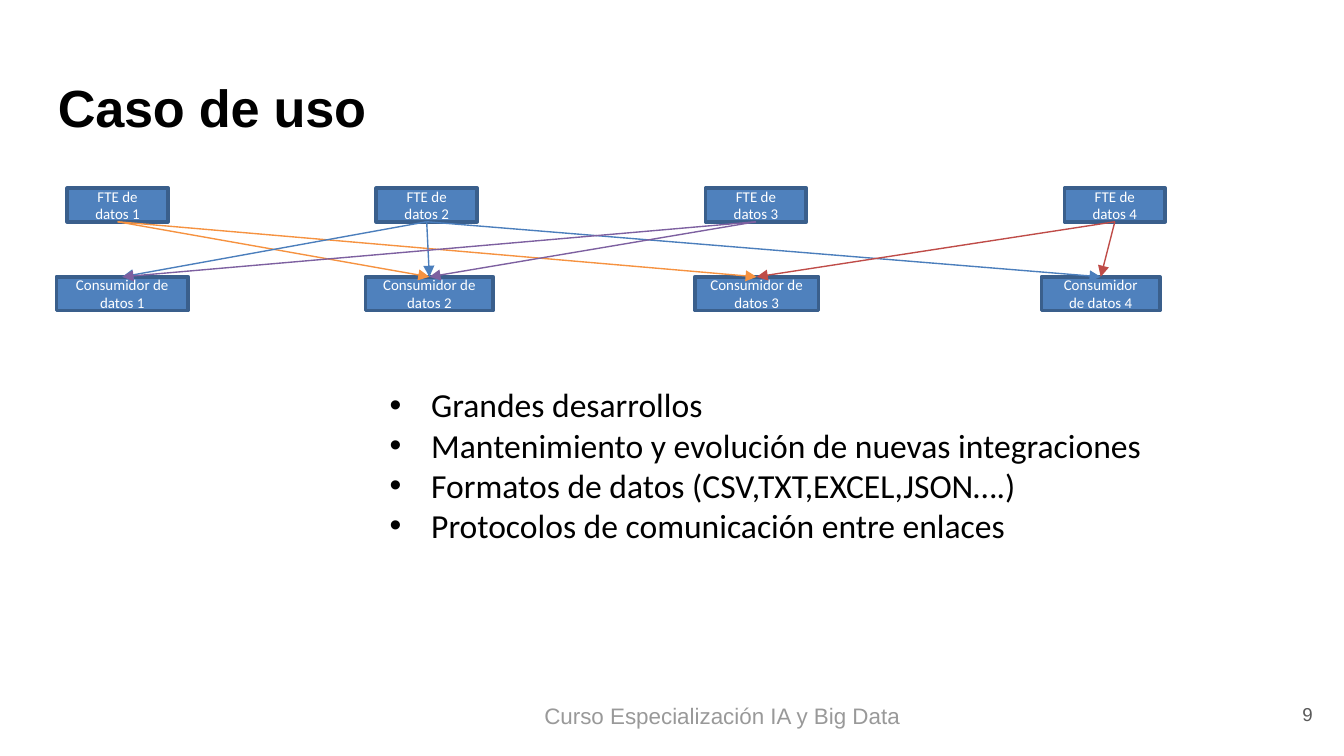
"""Build the use case slide with data sources linked to their consumers."""
from pptx import Presentation
from pptx.dml.color import RGBColor
from pptx.enum.shapes import MSO_CONNECTOR, MSO_SHAPE
from pptx.enum.text import MSO_ANCHOR, PP_ALIGN
from pptx.oxml.ns import qn
from pptx.util import Inches, Pt
from lxml.etree import SubElement


def color(code):
    return RGBColor.from_string(code)


def write(shape, text, size=18, font="Calibri", ink="000000", bold=False,
          align=PP_ALIGN.LEFT, anchor=MSO_ANCHOR.TOP, pad=(0.1, 0.05, 0.05),
          left=0, hang=0, before=0, pitch=None, track=0, bullet=None):
    frame = shape.text_frame
    frame.word_wrap = True
    frame.vertical_anchor = anchor
    frame.margin_left = frame.margin_right = Inches(pad[0])
    frame.margin_top, frame.margin_bottom = Inches(pad[1]), Inches(pad[2])
    for i, line in enumerate(text.split("\n")):
        para = frame.add_paragraph() if i else frame.paragraphs[0]
        para.alignment = align
        para.space_before = Pt(before)
        if pitch:
            para.line_spacing = Pt(pitch)
        props = para._p.get_or_add_pPr()
        props.set("marL", str(Inches(left)))
        props.set("indent", str(Inches(hang)))
        if bullet:
            SubElement(props, qn("a:buFont"), typeface="Arial")
            SubElement(props, qn("a:buChar"), char=bullet)
        run = para.add_run()
        run.text = line
        run.font.name = font
        run.font.size = Pt(size)
        run.font.bold = bold
        run.font.color.rgb = color(ink)
        if track:
            run._r.get_or_add_rPr().set("spc", str(round(track * 100)))


deck = Presentation()
deck.slide_width = Inches(10)
deck.slide_height = Inches(10 * 9 / 16)
slide = deck.slides.add_slide(deck.slide_layouts[6])
shapes = slide.shapes

labels = [
    ((0.42, 0.55, 2.38, 0.49), "Caso de uso",
     dict(size=28, bold=True, left=0.01, before=1, track=-0.1, pad=(0, 0.01, 0))),
    ((9.65, 5.23, 0.17, 0.18), "9",
     dict(size=10, ink="595959", left=0.04, before=0.1, pad=(0, 0, 0))),
    ((4.04, 5.23, 2.68, 0.21), "Curso Especialización IA y Big Data",
     dict(size=12, ink="999999", left=0.01, pitch=14.2, pad=(0, 0, 0))),
]
for place, text, form in labels:
    box = shapes.add_textbox(*map(Inches, place))
    write(box, text, font="Arial", **form)

rows = [
    ("FTE de datos", 1.4, [(0.5, 0.75), (2.8, 0.75), (5.25, 0.75), (7.92, 0.75)]),
    ("Consumidor de datos", 2.06, [(0.42, 0.98), (2.72, 0.95), (5.17, 0.92), (7.75, 0.88)]),
]
nodes = []
for name, top, spans in rows:
    row = []
    for num, (left, width) in enumerate(spans, 1):
        node = shapes.add_shape(MSO_SHAPE.RECTANGLE, Inches(left), Inches(top),
                                Inches(width), Inches(0.25))
        node.shadow.inherit = False
        node.fill.solid()
        node.fill.fore_color.rgb = color("4F81BD")
        node.line.color.rgb = color("3A5F8C")
        node.line.width = Pt(2)
        write(node, f"{name} {num}", size=8, ink="FFFFFF",
              align=PP_ALIGN.CENTER, anchor=MSO_ANCHOR.MIDDLE)
        row.append(node)
    nodes.append(row)
feeds, users = nodes

links = [("F69240", (2, 3)), ("4B7EBC", (1, 2, 4)),
         ("7D60A0", (2, 1)), ("BF4C48", (3, 4))]
for feed, (ink, goals) in zip(feeds, links):
    for goal in goals:
        link = shapes.add_connector(MSO_CONNECTOR.STRAIGHT, 0, 0, 0, 0)
        link.begin_connect(feed, 2)
        link.end_connect(users[goal - 1], 0)
        link.line.color.rgb = color(ink)
        link.line.width = Pt(0.75)
        SubElement(link.line._get_or_add_ln(), qn("a:tailEnd"), type="triangle")
        SubElement(link._element.spPr, qn("a:effectLst"))

points = shapes.add_textbox(Inches(2.8), Inches(2.81), Inches(6.95), Inches(1.31))
write(points, "Grandes desarrollos\n"
      "Mantenimiento y evolución de nuevas integraciones\n"
      "Formatos de datos (CSV,TXT,EXCEL,JSON….)\n"
      "Protocolos de comunicación entre enlaces",
      left=0.31, hang=-0.31, bullet="•")

deck.save("out.pptx")
